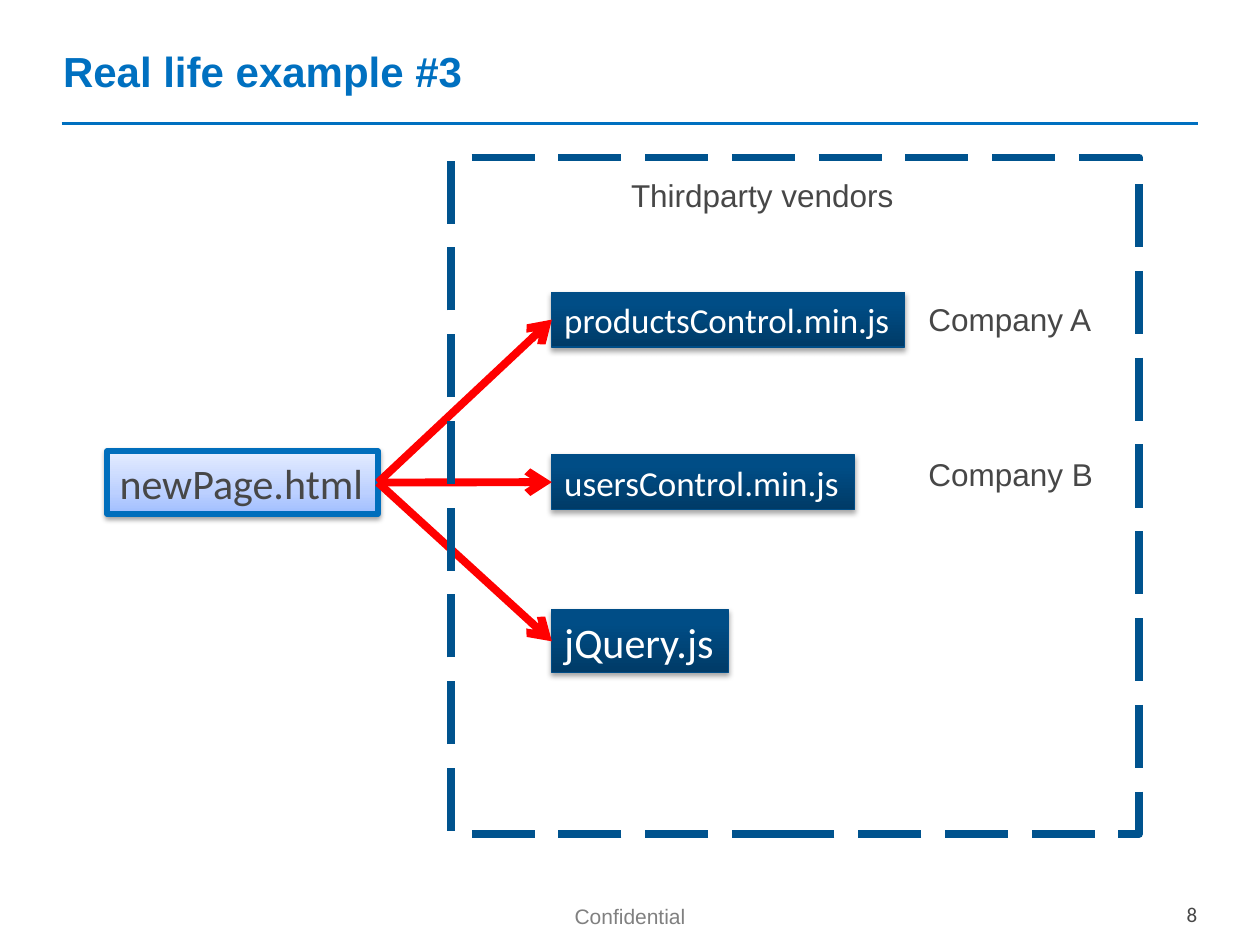
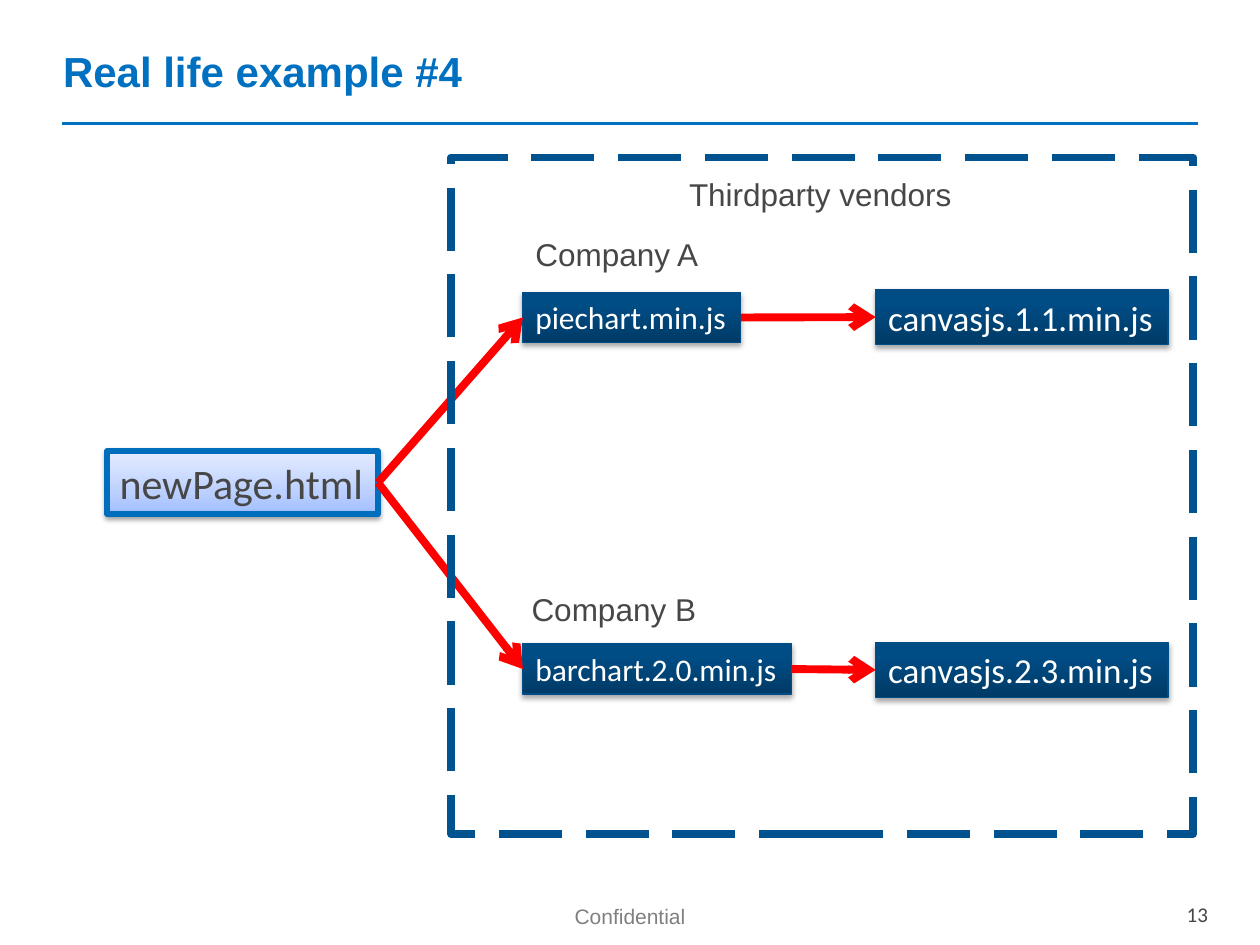
import copy

import lxml.etree
import pptx
import pptx.dml.color
import pptx.enum.dml
import pptx.enum.shapes
import pptx.enum.text
import pptx.oxml
import pptx.oxml.ns
import pptx.util

WIDTH, HEIGHT = pptx.util.Inches(10), pptx.util.Inches(7.5)
COL, ROW = WIDTH / 100, HEIGHT / 75
BLUE, FRAME_BLUE, RED = "0070C0", "00538E", "FF0000"
WHITE, INK, GREY, BLACK = "FFFFFF", "474747", "808080", "000000"
SCRIPT_STYLE = dict(stops=[(0, "003B67"), (0.8, "004D86"), (1, "004D86")],
                    line=("004D87", 0.75), ink=WHITE, shadow=(35, 1.8))
PAGE_STYLE = dict(stops=[(0, "A0BEFF"), (0.35, "BCD0FF"), (1, "E5EDFF")],
                  line=("006EBC", 3), ink=INK, shadow=(38, 1.6))


def rgb(value):
    """Turn a hex string into a colour."""
    return pptx.dml.color.RGBColor.from_string(value)


def place(x, y, w, h):
    """Turn grid columns and rows into slide lengths."""
    return round(x * COL), round(y * ROW), round(w * COL), round(h * ROW)


def write(tf, text, size, color, font="Arial", bold=False, align="LEFT"):
    """Write one run of text into a frame."""
    p = tf.paragraphs[0]
    p.alignment = getattr(pptx.enum.text.PP_ALIGN, align)
    r = p.add_run()
    r.text = text
    r.font.name, r.font.size, r.font.bold = font, pptx.util.Pt(size), bold
    r.font.color.rgb = rgb(color)
    return p


def stroke(line, color, width):
    """Set the colour and width of a line."""
    line.color.rgb = rgb(color)
    line.width = pptx.util.Pt(width)


def fit(tf):
    """Let a shape keep its text on one line and grow with it."""
    tf.word_wrap = False
    tf.auto_size = pptx.enum.text.MSO_AUTO_SIZE.SHAPE_TO_FIT_TEXT
    tf.vertical_anchor = pptx.enum.text.MSO_ANCHOR.TOP


def label(s, x, y, w, text):
    """Add a one-line caption."""
    sp = s.shapes.add_textbox(*place(x, y, w, 4))
    fit(sp.text_frame)
    write(sp.text_frame, text, 18, INK)


def shade(sp, stops):
    """Fill a shape with a gradient that rises from its bottom edge."""
    sp.fill.gradient()
    sp.fill.gradient_angle = 90
    gs_list = sp._element.spPr.find(".//" + pptx.oxml.ns.qn("a:gsLst"))
    while len(gs_list) < len(stops):
        gs_list.append(copy.deepcopy(gs_list[-1]))
    for stop, (position, color) in zip(sp.fill.gradient_stops, stops):
        stop.position = position
        stop.color.rgb = rgb(color)


def drop_shadow(sp, alpha, distance):
    """Give a shape a soft shadow below it."""
    sp.shadow.inherit = False
    qn = pptx.oxml.ns.qn
    effects = sp._element.spPr.find(qn("a:effectLst"))
    outer = lxml.etree.SubElement(
        effects, qn("a:outerShdw"), blurRad=str(pptx.util.Pt(3.1)),
        dist=str(pptx.util.Pt(distance)), dir="5400000", rotWithShape="0")
    color = lxml.etree.SubElement(outer, qn("a:srgbClr"), val=BLACK)
    lxml.etree.SubElement(color, qn("a:alpha"), val=str(alpha * 1000))


def node(s, x, y, w, text, size, style):
    """Add a file box whose height follows its text size."""
    sp = s.shapes.add_shape(pptx.enum.shapes.MSO_SHAPE.RECTANGLE,
                            *place(x, y, w, size / 6 + 1))
    shade(sp, style["stops"])
    stroke(sp.line, *style["line"])
    drop_shadow(sp, *style["shadow"])
    fit(sp.text_frame)
    write(sp.text_frame, text, size, style["ink"], "Calibri")
    return sp


def straight(s, x1, y1, x2, y2, color, width):
    """Add a plain straight line."""
    line = s.shapes.add_connector(pptx.enum.shapes.MSO_CONNECTOR.STRAIGHT,
                                  *place(x1, y1, x2, y2))
    stroke(line.line, color, width)
    lxml.etree.SubElement(line._element.spPr, pptx.oxml.ns.qn("a:effectLst"))
    return line


def arrow(s, source, target):
    """Link the right side of one box to the left side of another."""
    line = straight(s, 0, 0, 1, 1, RED, 4.5)
    line.begin_connect(source, 3)
    line.end_connect(target, 1)
    lxml.etree.SubElement(line.line._get_or_add_ln(),
                          pptx.oxml.ns.qn("a:tailEnd"), type="arrow")


def vendor_area(s, box, page, caption, chains, companies):
    """Draw the dashed vendor area, its scripts and the links to them."""
    left, top, w, h = box
    for chain in chains:
        source = page
        for x, y, width, text, size in chain:
            target = node(s, left + x, top + y, width, text, size, SCRIPT_STYLE)
            arrow(s, source, target)
            source = target
    frame = s.shapes.add_shape(pptx.enum.shapes.MSO_SHAPE.RECTANGLE, *place(*box))
    frame.fill.background()
    frame.shadow.inherit = False
    stroke(frame.line, FRAME_BLUE, 4.5)
    frame.line.dash_style = pptx.enum.dml.MSO_LINE.LONG_DASH
    label(s, left + caption[0], top + caption[1], 23.1, "Thirdparty vendors")
    for x, y, text in companies:
        label(s, left + x, top + y, 15.1, text)


def header(s, title):
    """Set the title and the rule under it."""
    sp = s.shapes.title
    sp.left, sp.top, sp.width, sp.height = place(4, 0.2, 92.9, 10.8)
    sp.text_frame.vertical_anchor = pptx.enum.text.MSO_ANCHOR.MIDDLE
    write(sp.text_frame, title, 24, BLUE, bold=True)
    straight(s, 4.9, 9.8, 95.1, 9.8, BLUE, 2)


def footer(s, number):
    """Add the confidentiality mark and the page number."""
    for box, text, color, font, align in (
            ((39.4, 71.2, 21.2, 3.9), "Confidential", GREY, "Arial", "CENTER"),
            ((93.2, 71, 5.6, 2.8), str(number), INK, "Calibri", "LEFT")):
        tf = s.shapes.add_textbox(*place(*box)).text_frame
        tf.word_wrap = True
        tf.margin_top = pptx.util.Inches(0.07)
        write(tf, text, 12, color, font, align=align).line_spacing = 0.93


def example_slide(prs, title, number, width, caption, chains, companies):
    """Build one slide that shows which scripts a page loads."""
    s = prs.slides.add_slide(prs.slide_layouts[5])
    header(s, title)
    footer(s, number)
    page = node(s, 8.5, 35.8, 21.5, "newPage.html", 24, PAGE_STYLE)
    vendor_area(s, (35.8, 12.5, width, 53.7), page, caption, chains, companies)


def main():
    """Build and save the presentation."""
    prs = pptx.Presentation()
    prs.slide_width, prs.slide_height = WIDTH, HEIGHT
    example_slide(
        prs, "Real life example #3", 8, 54.6, (13.3, 1),
        [[(8, 10.7, 28, "productsControl.min.js", 20)],
         [(8, 23.6, 24, "usersControl.min.js", 20)],
         [(8, 35.9, 14, "jQuery.js", 24)]],
        [(36.9, 10.8, "Company A"), (36.9, 23.1, "Company B")])
    example_slide(
        prs, "Real life example #4", 13, 58.9, (17.9, 0.9),
        [[(5.7, 10.7, 17.3, "piechart.min.js", 18),
          (33.7, 10.5, 23.2, "canvasjs.1.1.min.js", 20)],
         [(5.7, 38.6, 21.3, "barchart.2.0.min.js", 18),
          (33.7, 38.5, 23.2, "canvasjs.2.3.min.js", 20)]],
        [(5.7, 5.7, "Company A"), (5.4, 33.8, "Company B")])
    prs.save("out.pptx")


if __name__ == "__main__":
    main()
